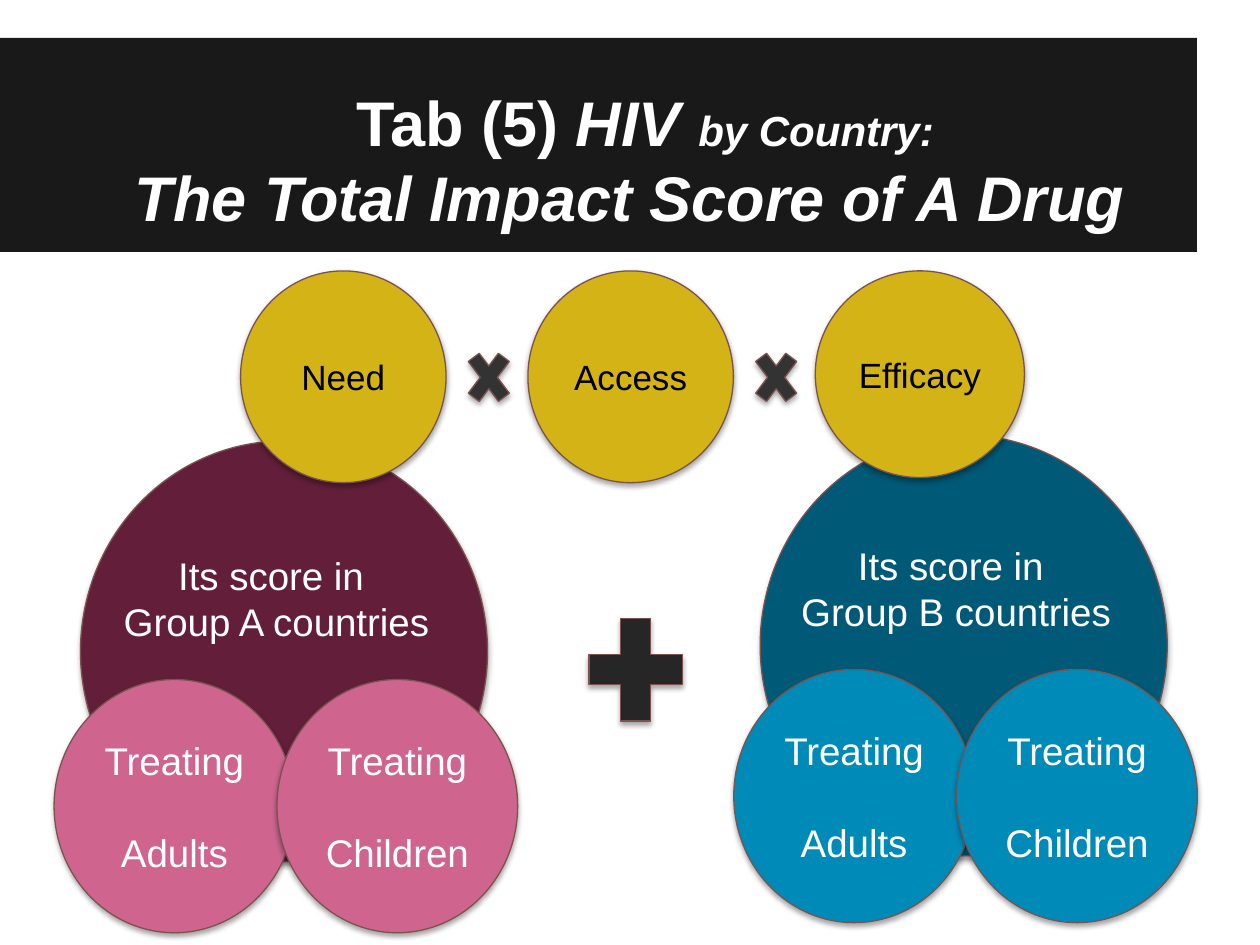
from dataclasses import dataclass

from lxml import etree
from pptx import Presentation
from pptx.dml.color import RGBColor
from pptx.enum.shapes import MSO_SHAPE
from pptx.enum.text import MSO_ANCHOR, MSO_AUTO_SIZE, PP_ALIGN
from pptx.oxml.ns import qn
from pptx.util import Pt


@dataclass(frozen=True)
class Theme:
    """Colours, font and type sizes of the slide."""
    font: str = "Arial"
    band: str = "191919"
    light: str = "FFFFFF"
    dark: str = "000000"
    outline: str = "7C5251"
    factor: str = "D3B315"
    times: str = "333333"
    plus: str = "262626"
    group_a: str = "631F3A"
    group_a_detail: str = "CF658F"
    group_b: str = "005976"
    group_b_detail: str = "008AB7"
    title_size: int = 36
    subtitle_size: int = 24
    group_size: int = 22
    factor_size: int = 20


def add_text(paragraph, text, *, font, size, color, bold=False, italic=False):
    """Append formatted text, turning each newline into a line break."""
    for index, line in enumerate(text.split("\n")):
        if index:
            paragraph.add_line_break()
        if not line:
            continue
        run = paragraph.add_run()
        run.text = line
        run.font.name = font
        run.font.size = Pt(size)
        run.font.bold = bold
        run.font.italic = italic
        run.font.color.rgb = RGBColor.from_string(color)


def add_shadow(shape):
    """Give a shape a soft shadow straight below it."""
    shape.shadow.inherit = False
    effects = shape.element.spPr.find(qn("a:effectLst"))
    outer = etree.SubElement(effects, qn("a:outerShdw"), blurRad=str(Pt(3.1)),
                             dist=str(Pt(1.8)), dir="5400000", rotWithShape="0")
    color = etree.SubElement(outer, qn("a:srgbClr"), val="000000")
    etree.SubElement(color, qn("a:alpha"), val="35000")


class SlideBuilder:
    """Holds the theme and the slide being drawn."""

    def __init__(self, slide, theme):
        """Keep the slide and its theme."""
        self.slide = slide
        self.theme = theme

    def group(self):
        """Return the shapes of a new group."""
        return self.slide.shapes.add_group_shape().shapes

    def title(self, box, pieces):
        """Fill the title placeholder with (text, format) pieces."""
        title = self.slide.shapes.title
        title.left, title.top, title.width, title.height = map(Pt, box)
        frame = title.text_frame
        frame.word_wrap = True
        frame.auto_size = MSO_AUTO_SIZE.NONE
        frame.vertical_anchor = MSO_ANCHOR.BOTTOM
        frame.margin_left = frame.margin_right = Pt(7.2)
        frame.margin_top = frame.margin_bottom = Pt(7.2)
        paragraph = frame.paragraphs[0]
        paragraph.alignment = PP_ALIGN.CENTER
        properties = paragraph._p.get_or_add_pPr()
        properties.set("marL", "0")
        properties.set("indent", str(Pt(24)))
        for text, style in pieces:
            add_text(paragraph, text, font=self.theme.font,
                     color=self.theme.light, bold=True, **style)

    def band(self, box):
        """Draw the plain band behind the title."""
        band = self.slide.shapes.add_shape(MSO_SHAPE.RECTANGLE, *map(Pt, box))
        band.shadow.inherit = False
        band.fill.solid()
        band.fill.fore_color.rgb = RGBColor.from_string(self.theme.band)
        band.line.fill.background()
        self.slide.shapes.title.element.addprevious(band.element)

    def figure(self, shapes, kind, box, fill):
        """Draw an outlined preset shape with a shadow."""
        shape = shapes.add_shape(kind, *map(Pt, box))
        shape.fill.solid()
        shape.fill.fore_color.rgb = RGBColor.from_string(fill)
        shape.line.color.rgb = RGBColor.from_string(self.theme.outline)
        shape.line.width = Pt(0.75)
        add_shadow(shape)
        return shape

    def circle(self, shapes, box, fill, lines=(), size=22, color="FFFFFF", gap=0):
        """Draw a circle with centred lines of text."""
        circle = self.figure(shapes, MSO_SHAPE.OVAL, box, fill)
        frame = circle.text_frame
        frame.word_wrap = False
        frame.vertical_anchor = MSO_ANCHOR.MIDDLE
        for index, line in enumerate(lines):
            paragraph = frame.add_paragraph() if index else frame.paragraphs[0]
            paragraph.alignment = PP_ALIGN.CENTER
            paragraph.space_before = Pt(gap if index else 0)
            add_text(paragraph, line, font=self.theme.font, size=size, color=color)

    def label(self, shapes, box, text):
        """Add a centred text box."""
        frame = shapes.add_textbox(*map(Pt, box)).text_frame
        frame.word_wrap = False
        frame.auto_size = MSO_AUTO_SIZE.SHAPE_TO_FIT_TEXT
        paragraph = frame.paragraphs[0]
        paragraph.alignment = PP_ALIGN.CENTER
        add_text(paragraph, text, font=self.theme.font,
                 size=self.theme.group_size, color=self.theme.light)

    def cluster(self, name, left, top, detail_top, fill, detail_fill):
        """Draw a country group with its two treatment circles."""
        shapes = self.group()
        size = self.theme.group_size

        def detail(offset, patients):
            """Draw one treatment circle."""
            self.circle(shapes, (left + offset, detail_top, 137.5, 144.7),
                        detail_fill, ("Treating", patients), size, gap=26)

        self.circle(shapes, (left, top, 232.6, 240.5), fill)
        detail(-15.1, "Adults")
        self.label(shapes, (left + 15.1, detail_top - 76.3, 193.7, 60.5),
                   f"Its score in \n{name} countries")
        detail(112.3, "Children")


def main():
    """Build and save the slide."""
    theme = Theme()
    presentation = Presentation()
    presentation.slide_width, presentation.slide_height = Pt(720), Pt(540)
    slide = presentation.slides.add_slide(presentation.slide_layouts[5])
    builder = SlideBuilder(slide, theme)

    builder.band((0, 21.6, 684, 122.4))
    builder.title((36, 21.6, 648, 119.5), (
        ("Tab (5) ", {"size": theme.title_size}),
        ("HIV ", {"size": theme.title_size, "italic": True}),
        ("by Country: \n", {"size": theme.subtitle_size, "italic": True}),
        ("The Total Impact Score of A Drug",
         {"size": theme.title_size, "italic": True}),
    ))

    builder.cluster("Group A", 46, 252, 388.3, theme.group_a, theme.group_a_detail)
    builder.cluster("Group B", 434.4, 248.6, 382.5, theme.group_b, theme.group_b_detail)
    builder.figure(slide.shapes, MSO_SHAPE.MATH_PLUS,
                   (326.9, 342.7, 72.7, 79.9), theme.plus)

    factors = builder.group()
    step = 164.2
    for index, (name, width, height) in enumerate((
            ("Need", 117.4, 121), ("Access", 117.4, 121), ("Efficacy", 119.5, 118.1))):
        builder.circle(factors, (137.5 + index * step, 154.8, width, height),
                       theme.factor, (name,), theme.factor_size, theme.dark)
    for index in range(2):
        builder.figure(factors, MSO_SHAPE.MATH_MULTIPLY,
                       (262.8 + index * step, 193.7, 33.1, 43.9), theme.times)

    presentation.save("out.pptx")


main()
